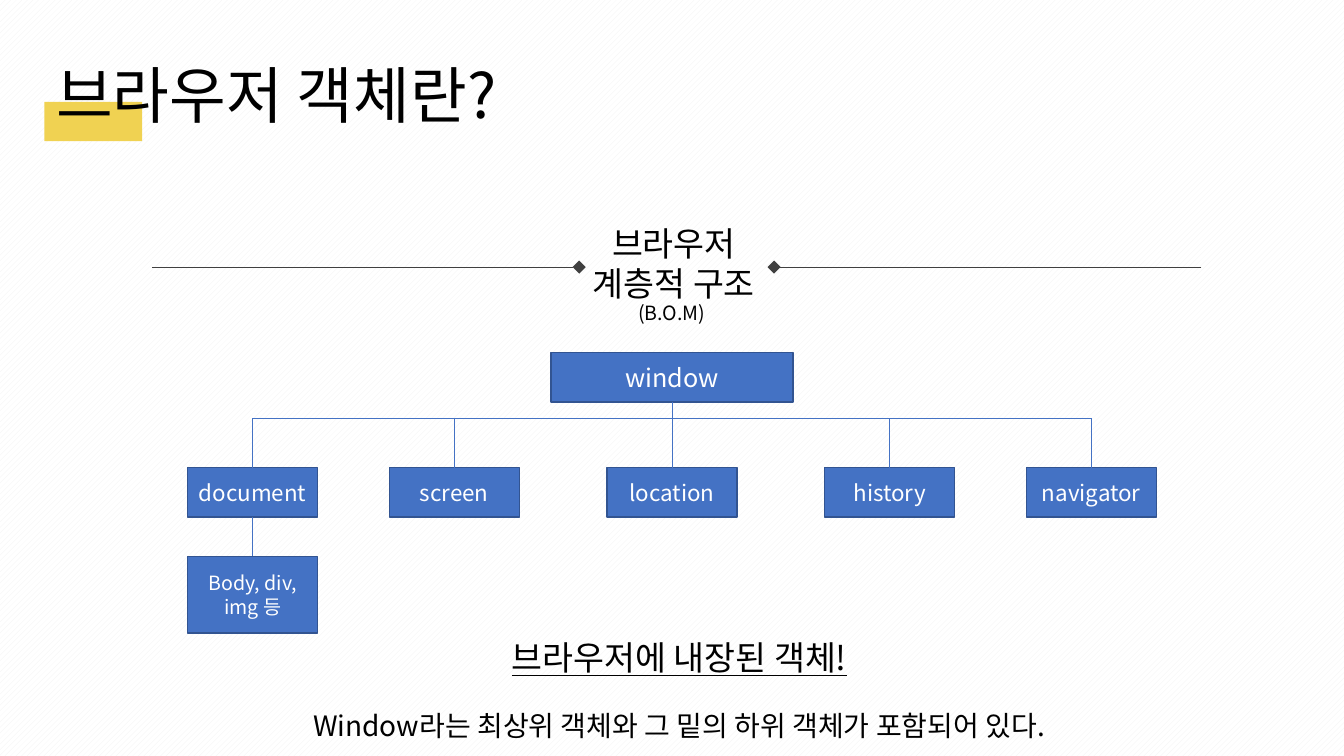
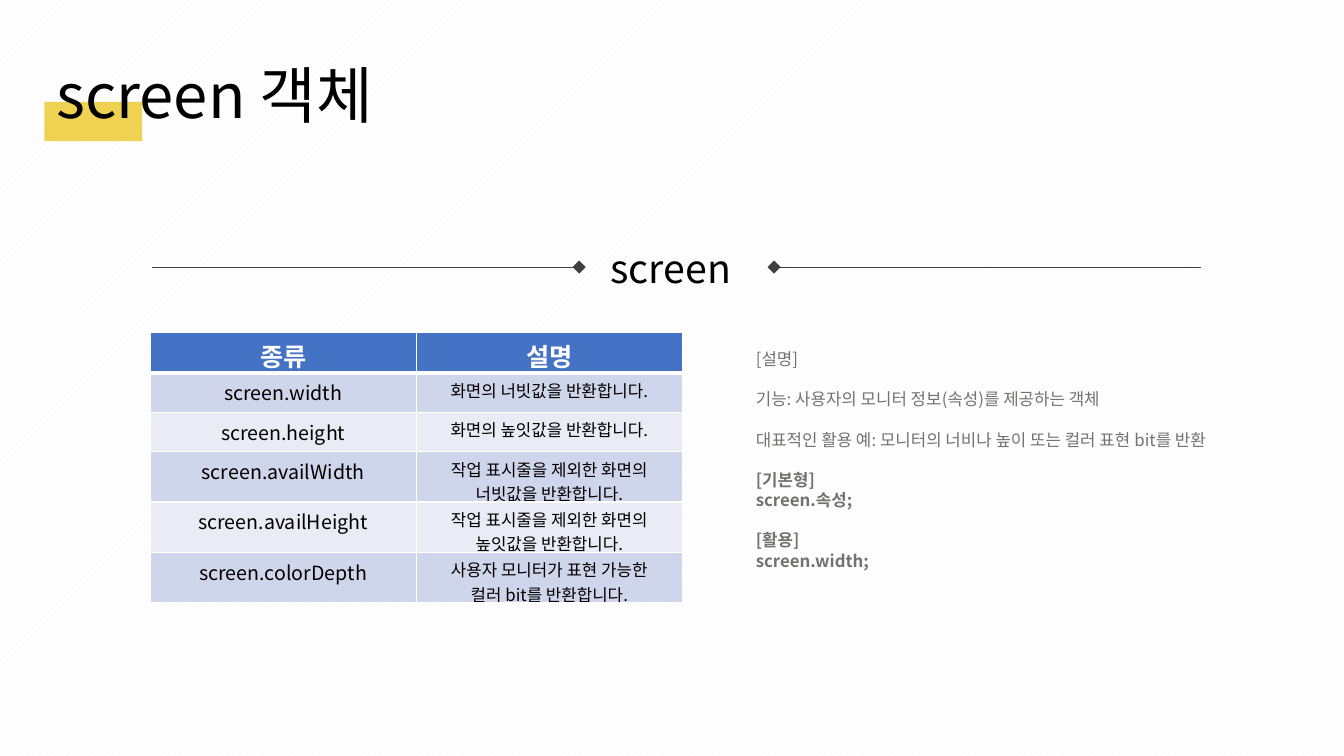
from dataclasses import dataclass, field
from typing import Any

import lxml.etree
import pptx
import pptx.dml.color
import pptx.enum.dml
import pptx.enum.shapes
import pptx.enum.text
import pptx.oxml.ns
import pptx.util

RGBColor = pptx.dml.color.RGBColor
Shapes = pptx.enum.shapes.MSO_SHAPE
Align = pptx.enum.text.PP_ALIGN
Anchor = pptx.enum.text.MSO_ANCHOR

# Slide grid: 40 columns by 30 rows
SLIDE_WIDTH = pptx.util.Inches(40 / 3)
SLIDE_HEIGHT = pptx.util.Inches(7.5)
COLUMN = SLIDE_WIDTH / 40
ROW = SLIDE_HEIGHT / 30

# Colours and font
BLACK = RGBColor(0x00, 0x00, 0x00)
WHITE = RGBColor(0xFF, 0xFF, 0xFF)
STRIPE = RGBColor(0xF2, 0xF2, 0xF2)
YELLOW = RGBColor(0xF0, 0xD2, 0x52)
DARK_GREY = RGBColor(0x40, 0x40, 0x40)
NOTE_GREY = RGBColor(0x76, 0x71, 0x71)
BLUE = RGBColor(0x44, 0x72, 0xC4)
BLUE_EDGE = RGBColor(0x32, 0x54, 0x91)
BANDS = (RGBColor(0xCF, 0xD5, 0xEA), RGBColor(0xE9, 0xEB, 0xF5))
FONT = "Noto Sans CJK KR"


@dataclass(frozen=True)
class Box:
    """A place on the grid, in columns and rows."""
    left: float
    top: float
    width: float
    height: float

    def lengths(self) -> tuple[int, int, int, int]:
        return (round(self.left * COLUMN), round(self.top * ROW),
                round(self.width * COLUMN), round(self.height * ROW))


@dataclass(frozen=True)
class Line:
    """One paragraph with its format."""
    text: str
    size: float
    color: RGBColor = BLACK
    align: Any = Align.CENTER
    before: float = 0
    font: dict[str, Any] = field(default_factory=dict)


@dataclass(frozen=True)
class Node:
    """A box of the object tree, placed by its centre."""
    text: str
    center: float
    top: float
    width: float = 3.87
    height: float = 1.96
    size: float = 16


# Shared drawing functions
def set_values(target: Any, values: dict[str, Any]) -> None:
    for name, value in values.items():
        setattr(target, name, value)


def add_part(parent: Any, tag: str, **attributes: str) -> Any:
    return lxml.etree.SubElement(parent, pptx.oxml.ns.qn(tag), attributes)


def write(frame: Any, lines: list[Line]) -> None:
    for index, line in enumerate(lines):
        paragraph = frame.add_paragraph() if index else frame.paragraphs[0]
        set_values(paragraph, {"alignment": line.align,
                               "space_before": pptx.util.Pt(line.before)})
        run = paragraph.add_run()
        run.text = line.text
        set_values(run.font, {"name": FONT, "size": pptx.util.Pt(line.size), **line.font})
        run.font.color.rgb = line.color
        add_part(run._r.get_or_add_rPr(), "a:ea", typeface=FONT)


def add_text(slide: Any, box: Box, lines: list[Line], wrap: bool = True) -> None:
    frame = slide.shapes.add_textbox(*box.lengths()).text_frame
    set_values(frame, {"word_wrap": wrap,
                       "auto_size": pptx.enum.text.MSO_AUTO_SIZE.SHAPE_TO_FIT_TEXT})
    write(frame, lines)


def add_block(slide: Any, kind: Any, box: Box, color: RGBColor,
              edge: RGBColor | None = None) -> Any:
    shape = slide.shapes.add_shape(kind, *box.lengths())
    shape.shadow.inherit = False
    shape.fill.solid()
    shape.fill.fore_color.rgb = color
    if edge is None:
        shape.line.fill.background()
    else:
        shape.line.color.rgb = edge
        shape.line.width = pptx.util.Pt(1)
    return shape


def add_line(slide: Any, start: tuple[float, float], end: tuple[float, float],
             color: RGBColor) -> None:
    points = [round(value * unit) for point in (start, end)
              for value, unit in zip(point, (COLUMN, ROW))]
    connector = slide.shapes.add_connector(
        pptx.enum.shapes.MSO_CONNECTOR.STRAIGHT, *points)
    connector.line.color.rgb = color
    connector.line.width = pptx.util.Pt(0.5)
    add_part(connector._element.spPr, "a:effectLst")


def add_slide(presentation: Any, title: str, title_width: float) -> Any:
    slide = presentation.slides.add_slide(presentation.slide_layouts[6])
    fill = slide.background.fill
    fill.patterned()
    fill.pattern = pptx.enum.dml.MSO_PATTERN.WIDE_UPWARD_DIAGONAL
    fill.fore_color.rgb = STRIPE
    fill.back_color.rgb = WHITE

    # Title over its yellow marker
    add_block(slide, Shapes.RECTANGLE, Box(1.32, 4.04, 2.91, 1.56), YELLOW)
    add_text(slide, Box(1.38, 2.08, title_width, 3.36),
             [Line(title, 44, align=Align.LEFT)], wrap=False)

    # Divider, mirrored about the heading
    center, level, diamond = 20.14, 10.6, 0.39
    for side in (-1, 1):
        add_line(slide, (center + side * 15.62, level), (center + side * 3.08, level),
                 DARK_GREY)
        add_block(slide, Shapes.DIAMOND,
                  Box(center + side * 2.9 - diamond / 2, 10.34, diamond, 0.52), DARK_GREY)
    return slide


# Slide 1: the object tree
def add_node(slide: Any, node: Node) -> None:
    box = Box(node.center - node.width / 2, node.top, node.width, node.height)
    shape = add_block(slide, Shapes.RECTANGLE, box, BLUE, BLUE_EDGE)
    set_values(shape.text_frame, {"word_wrap": True, "vertical_anchor": Anchor.MIDDLE})
    write(shape.text_frame, [Line(node.text, node.size, WHITE)])


def build_tree_slide(presentation: Any) -> None:
    slide = add_slide(presentation, "브라우저 객체란?", 13.38)
    add_text(slide, Box(17.13, 8.64, 5.85, 3.64),
             [Line("브라우저", 24), Line("계층적 구조", 24)])
    add_text(slide, Box(17.07, 11.76, 5.85, 1.36), [Line("(B.O.M)", 14)])
    add_text(slide, Box(4.53, 25.08, 31.38, 5), [
        Line("브라우저에 내장된 객체!", 24, font={"underline": True}),
        Line("Window라는 최상위 객체와 그 밑의 하위 객체가 포함되어 있다.", 20, before=22),
    ])

    middle, bus = 20, 16.6
    root = Node("window", middle, 14, width=7.2, size=18)
    offsets = {"document": -12.48, "screen": -6.48, "location": 0,
               "history": 6.48, "navigator": 12.48}
    children = [Node(name, middle + offset, 18.56) for name, offset in offsets.items()]
    first, last = children[0], children[-1]
    leaf = Node("Body, div, img 등", first.center, 22.08, height=3.04, size=14)
    for node in (root, *children, leaf):
        add_node(slide, node)

    add_line(slide, (middle, root.top + root.height), (middle, bus), BLUE)
    add_line(slide, (first.center, bus), (last.center, bus), BLUE)
    for child in children:
        add_line(slide, (child.center, bus), (child.center, child.top), BLUE)
    add_line(slide, (leaf.center, first.top + first.height), (leaf.center, leaf.top), BLUE)


# Slide 2: the property table
PROPERTIES = [
    ("screen.width", ["화면의 너빗값을 반환합니다."]),
    ("screen.height", ["화면의 높잇값을 반환합니다."]),
    ("screen.availWidth", ["작업 표시줄을 제외한 화면의", "너빗값을 반환합니다."]),
    ("screen.availHeight", ["작업 표시줄을 제외한 화면의", "높잇값을 반환합니다."]),
    ("screen.colorDepth", ["사용자 모니터가 표현 가능한", "컬러 bit를 반환합니다."]),
]


def fill_cell(cell: Any, lines: list[Line], color: RGBColor, bottom: float) -> None:
    properties = cell._tc.get_or_add_tcPr()
    for side, width in {"L": 1, "R": 1, "T": 1, "B": bottom}.items():
        border = add_part(properties, f"a:ln{side}", w=str(pptx.util.Pt(width)))
        add_part(add_part(border, "a:solidFill"), "a:srgbClr", val=str(WHITE))
    cell.fill.solid()
    cell.fill.fore_color.rgb = color
    write(cell.text_frame, lines)


def add_property_table(slide: Any) -> None:
    heights = [1.56] * 3 + [1.92] * 3
    box = Box(4.47, 13.2, 15.84, sum(heights))
    table = slide.shapes.add_table(len(heights), 2, *box.lengths()).table
    for row, height in zip(table.rows, heights):
        row.height = round(height * ROW)
    for column, title in enumerate(("종류", "설명")):
        fill_cell(table.cell(0, column), [Line(title, 18, WHITE, font={"bold": True})],
                  BLUE, 3)
    for index, (name, description) in enumerate(PROPERTIES):
        band = BANDS[index % 2]
        fill_cell(table.cell(index + 1, 0), [Line(name, 14)], band, 1)
        fill_cell(table.cell(index + 1, 1), [Line(text, 12) for text in description],
                  band, 1)


def build_screen_slide(presentation: Any) -> None:
    slide = add_slide(presentation, "screen 객체", 11.04)
    add_text(slide, Box(17.04, 9.48, 5.85, 2.28), [Line("screen", 28)])
    add_property_table(slide)

    # Explanation: a gap of one line before each group
    plain, bold = {}, {"bold": True}
    groups = [
        (plain, ["[설명]"]),
        (plain, ["기능: 사용자의 모니터 정보(속성)를 제공하는 객체"]),
        (plain, ["대표적인 활용 예: 모니터의 너비나 높이 또는 컬러 표현 bit를 반환"]),
        (bold, ["[기본형]", "screen.속성;"]),
        (bold, ["[활용]", "screen.width;"]),
    ]
    add_text(slide, Box(22.2, 13.64, 16.86, 9.28), [
        Line(text, 12, NOTE_GREY, Align.LEFT, 14.4 if group and not row else 0, font)
        for group, (font, texts) in enumerate(groups) for row, text in enumerate(texts)])


def main() -> None:
    presentation = pptx.Presentation()
    set_values(presentation, {"slide_width": SLIDE_WIDTH, "slide_height": SLIDE_HEIGHT})
    build_tree_slide(presentation)
    build_screen_slide(presentation)
    presentation.save("out.pptx")


if __name__ == "__main__":
    main()
